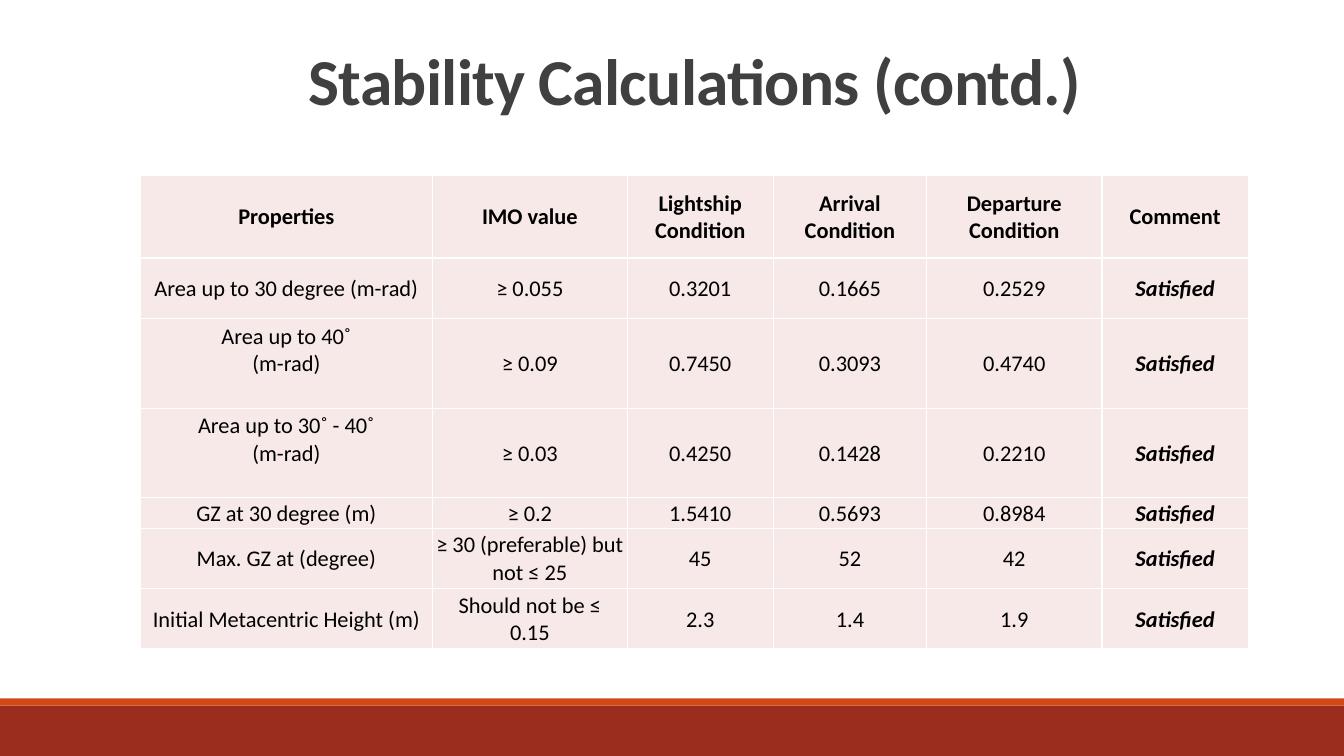
import pptx
import pptx.dml.color
import pptx.enum.shapes
import pptx.enum.text
import pptx.oxml
import pptx.oxml.ns
import pptx.util

RGBColor = pptx.dml.color.RGBColor
Inches = pptx.util.Inches
Pt = pptx.util.Pt
PP_ALIGN = pptx.enum.text.PP_ALIGN
MSO_ANCHOR = pptx.enum.text.MSO_ANCHOR

BRICK = RGBColor(0x9B, 0x2D, 0x1F)
ORANGE = RGBColor(0xD3, 0x48, 0x17)
BLUSH = RGBColor(0xF7, 0xE9, 0xE8)
CHARCOAL = RGBColor(0x40, 0x40, 0x40)
BLACK = RGBColor(0, 0, 0)
WHITE = RGBColor(0xFF, 0xFF, 0xFF)

FONT = "Calibri"
WIDTH, HEIGHT = 13.33, 7.5
LEFT, CONTENT_WIDTH = 1.39, 11
TABLE_TOP = 1.74
COLUMNS = [2.9, 1.93, 1.45, 1.52, 1.74, 1.45]
ROWS = [0.82, 0.6, 0.89, 0.89, 0.3, 0.6, 0.6]
SPARE_LINE = 0.27  # room kept under the two-line properties

HEADER = ["Properties", "IMO value", "Lightship Condition",
          "Arrival Condition", "Departure Condition", "Comment"]
CRITERIA = [
    ["Area up to 30 degree (m-rad)", "≥ 0.055", "0.3201", "0.1665", "0.2529"],
    ["Area up to 40˚\v(m-rad)", "≥ 0.09", "0.7450", "0.3093", "0.4740"],
    ["Area up to 30˚ - 40˚\v(m-rad)", "≥ 0.03", "0.4250", "0.1428", "0.2210"],
    ["GZ at 30 degree (m)", "≥ 0.2", "1.5410", "0.5693", "0.8984"],
    ["Max. GZ at (degree)", "≥ 30 (preferable) but not ≤ 25", "45", "52", "42"],
    ["Initial Metacentric Height (m)", "Should not be ≤\v0.15", "2.3", "1.4", "1.9"],
]
VERDICT = "Satisfied"


def add_bar(s, top, height, color):
    bar = s.shapes.add_shape(pptx.enum.shapes.MSO_SHAPE.RECTANGLE, 0, Inches(top),
                             Inches(WIDTH), Inches(height))
    bar.shadow.inherit = False
    bar.fill.solid()
    bar.fill.fore_color.rgb = color
    bar.line.fill.background()


def set_title(s, text):
    title = s.shapes.title
    title.left, title.top = Inches(LEFT), Inches(0.47)
    title.width, title.height = Inches(CONTENT_WIDTH), Inches(1.59)
    tf = title.text_frame
    tf.text = text
    tf.word_wrap = True
    tf.auto_size = pptx.enum.text.MSO_AUTO_SIZE.NONE
    tf.vertical_anchor = MSO_ANCHOR.TOP
    p = tf.paragraphs[0]
    p.alignment = PP_ALIGN.CENTER
    p.line_spacing = 0.85
    set_font(p, 46.8, CHARCOAL, bold=True)
    p.runs[0].font._element.set("spc", "-50")


def set_font(p, size, color, bold=False, italic=False):
    font = p.font
    font.name, font.size = FONT, Pt(size)
    font.bold, font.italic = bold, italic
    font.color.rgb = color


def set_borders(cell, color):
    tc_pr = cell._tc.get_or_add_tcPr()
    for i, side in enumerate(("lnL", "lnR", "lnT", "lnB")):
        tc_pr.insert(i, pptx.oxml.parse_xml(
            f'<a:{side} {pptx.oxml.ns.nsdecls("a")} w="{Pt(1)}"><a:solidFill>'
            f'<a:srgbClr val="{color}"/></a:solidFill></a:{side}>'))


def fill_cell(cell, text, bold, italic):
    cell.fill.solid()
    cell.fill.fore_color.rgb = BLUSH
    set_borders(cell, WHITE)
    cell.vertical_anchor = MSO_ANCHOR.MIDDLE
    cell.margin_left = cell.margin_right = cell.margin_top = Inches(0.01)
    cell.margin_bottom = Inches(SPARE_LINE if "(m-rad)" in text and "\v" in text else 0)
    cell.text = text
    p = cell.text_frame.paragraphs[0]
    p.alignment = PP_ALIGN.CENTER
    set_font(p, 16, BLACK, bold, italic)


def add_criteria_table(s):
    records = [HEADER] + [row + [VERDICT] for row in CRITERIA]
    table = s.shapes.add_table(len(ROWS), len(COLUMNS), Inches(LEFT), Inches(TABLE_TOP),
                               Inches(CONTENT_WIDTH), Inches(sum(ROWS))).table
    for column, width in zip(table.columns, COLUMNS):
        column.width = Inches(width)
    for r, (record, height) in enumerate(zip(records, ROWS)):
        table.rows[r].height = Inches(height)
        for c, text in enumerate(record):
            verdict = text == VERDICT
            fill_cell(table.cell(r, c), text, bold=r == 0 or verdict, italic=verdict)


def main():
    prs = pptx.Presentation()
    prs.slide_width, prs.slide_height = Inches(WIDTH), Inches(HEIGHT)
    s = prs.slides.add_slide(prs.slide_layouts[5])

    # Footer bars
    add_bar(s, 7, 0.5, BRICK)
    add_bar(s, 6.93, 0.07, ORANGE)

    # Title and stability criteria
    set_title(s, "Stability Calculations (contd.)")
    add_criteria_table(s)

    prs.save("out.pptx")


if __name__ == "__main__":
    main()
